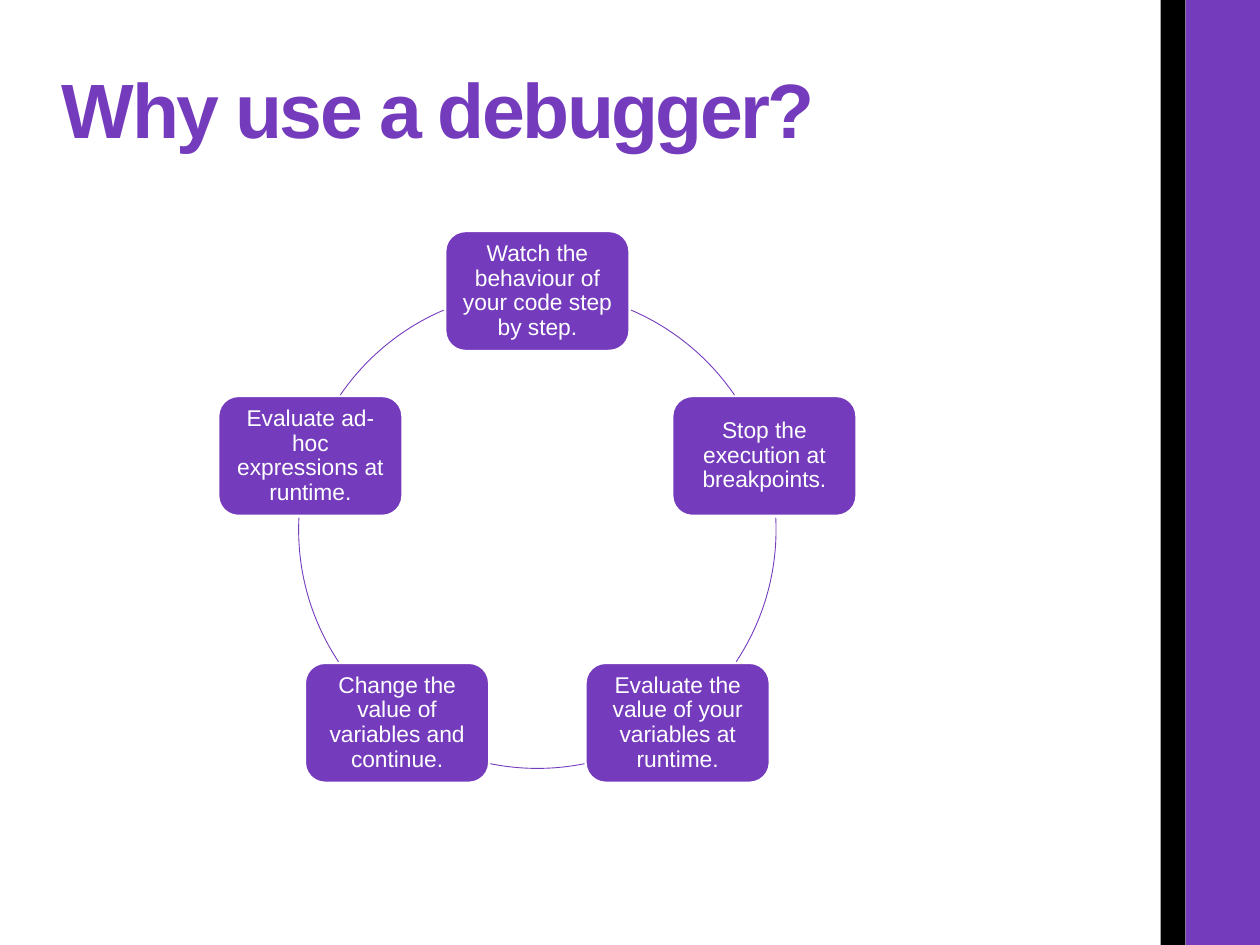
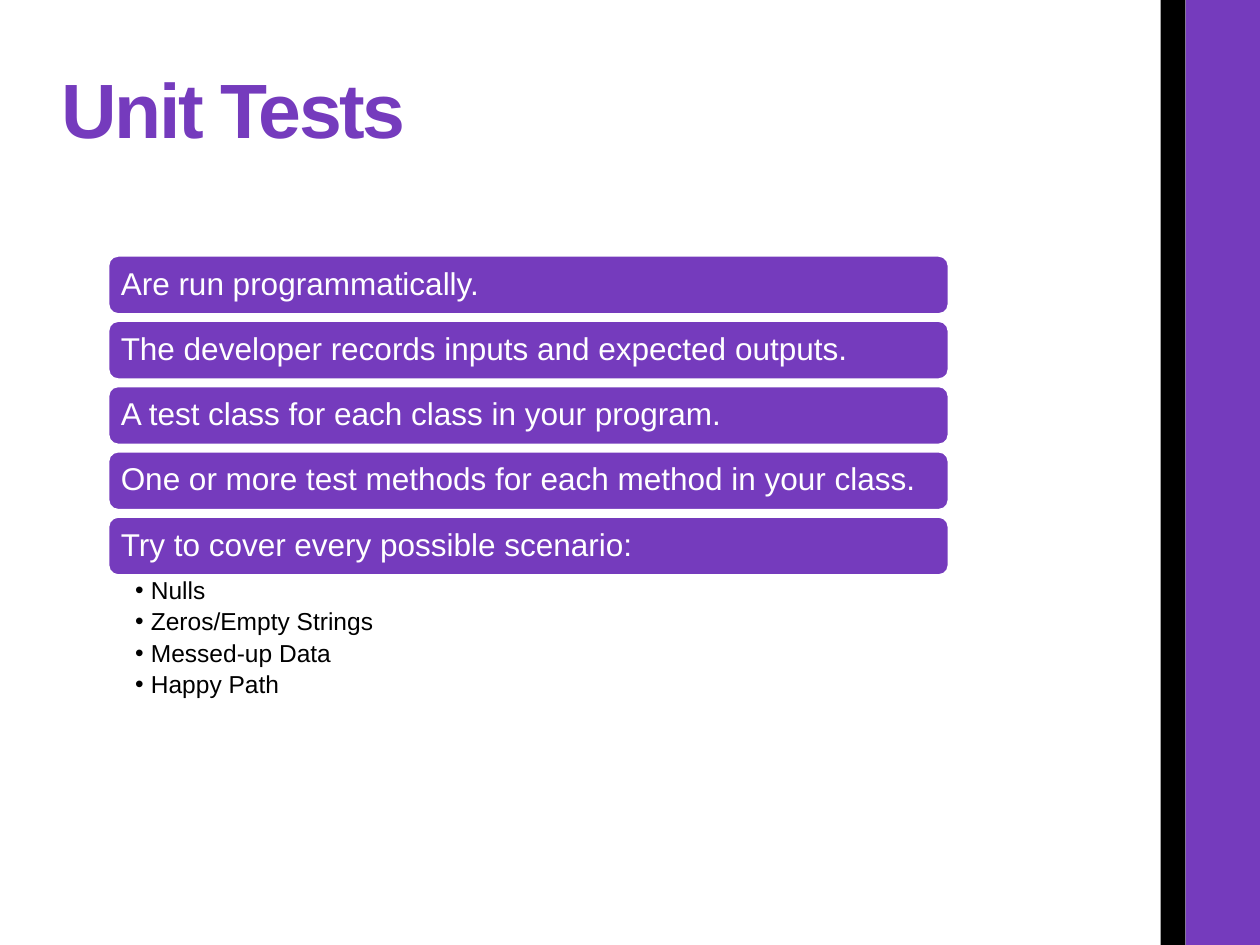
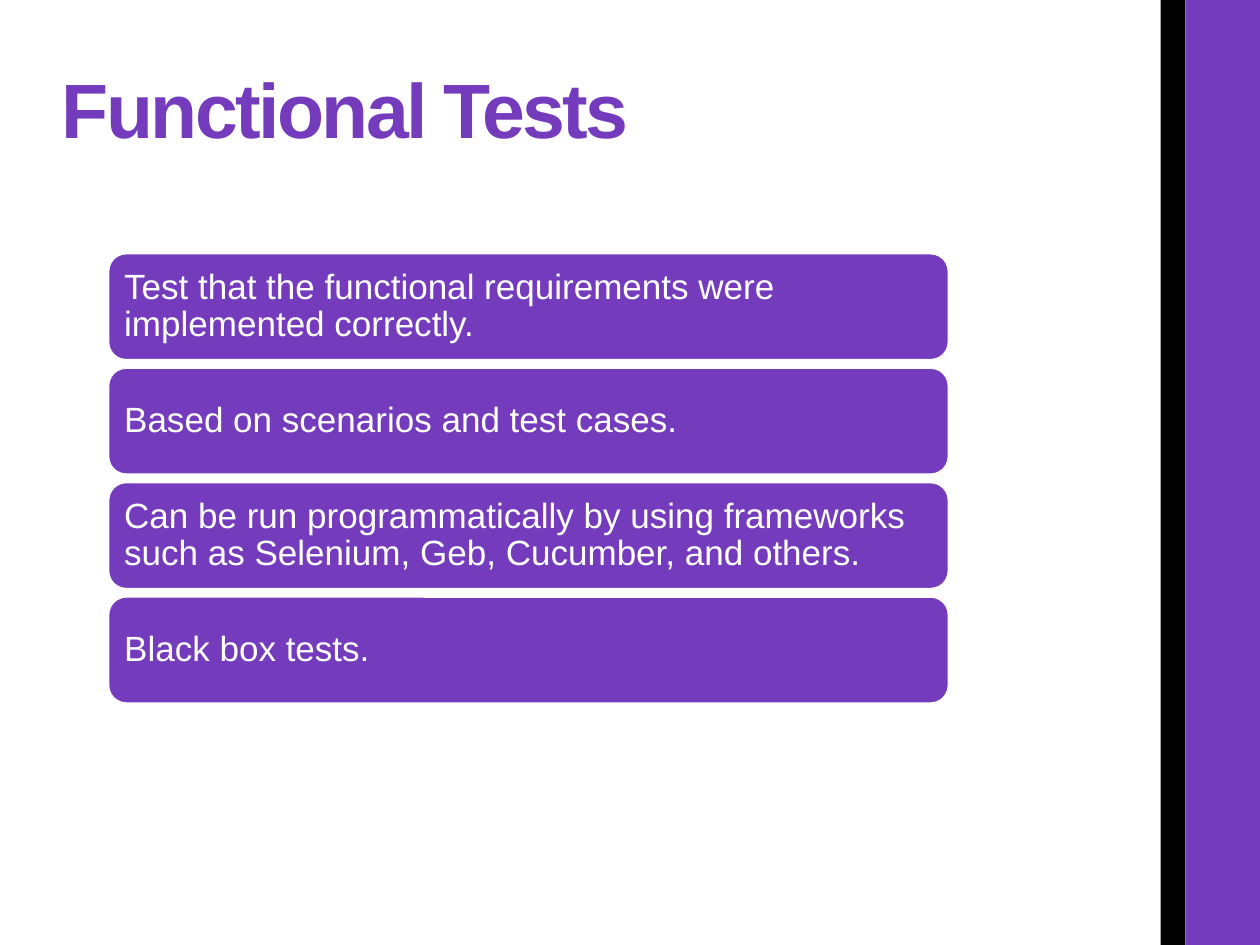
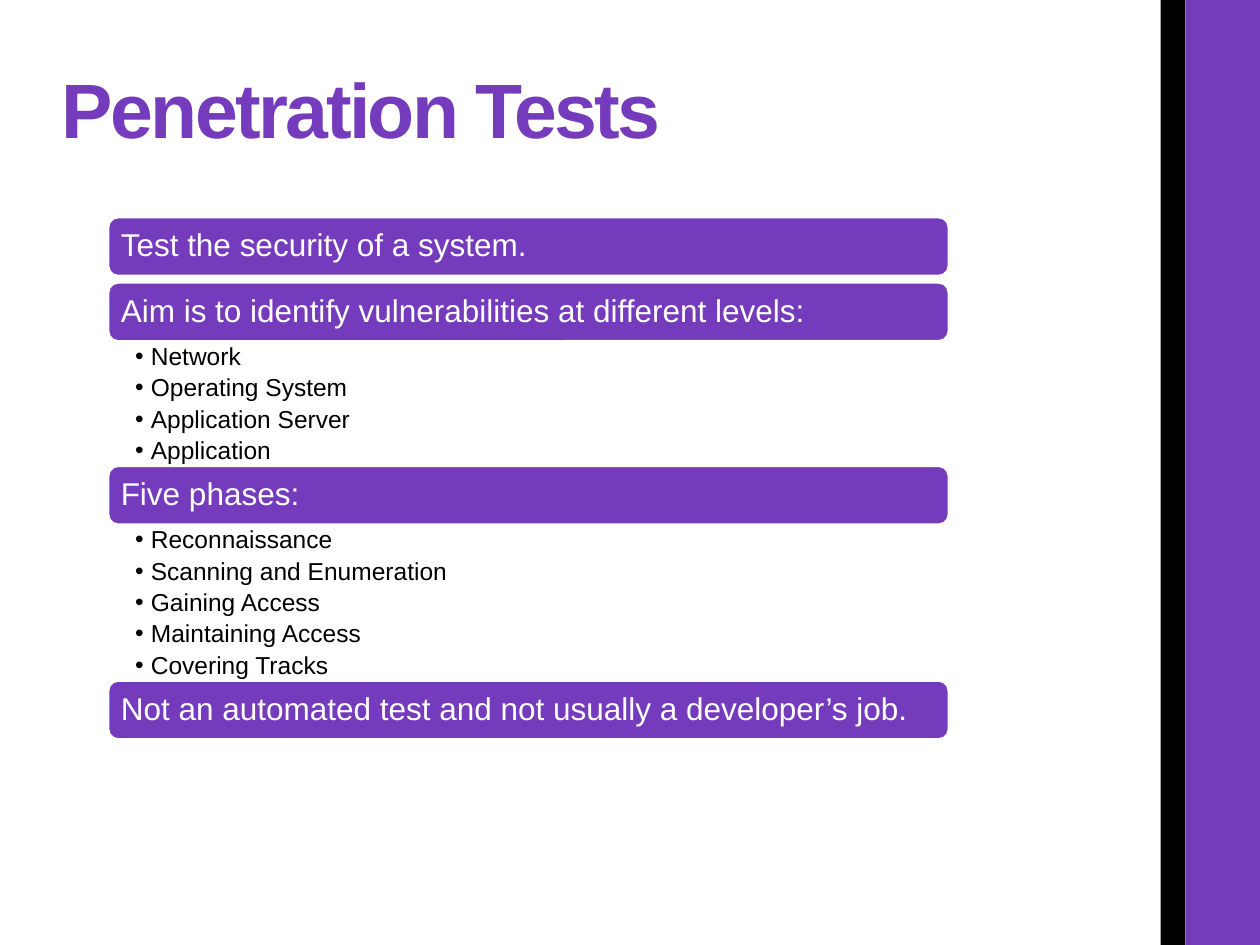
import math
from pptx import Presentation
from pptx.dml.color import RGBColor
from pptx.enum import shapes, text
from pptx.oxml import ns
from pptx.util import Pt

COLORS = {"purple": "753BBD", "black": "000000", "white": "FFFFFF"}
FONT = "Arial"
WIDTH, HEIGHT = 720, 540
BANDS = [("purple", 677.5, 42.5), ("black", 663.2, 14.3)]
TITLE_FRAME = (28.2, 28.8, 605.5, 63.4)

CYCLE_TITLE = "Why use a debugger?"
CYCLE_STEPS = [
    "Watch the behaviour of your code step by step.",
    "Stop the execution at breakpoints.",
    "Evaluate the value of your variables at runtime.",
    "Change the value of variables and continue.",
    "Evaluate ad-hoc expressions at runtime.",
]
RING_X, RING_Y, RING_RADIUS = 307.1, 302.7, 136.4
CARD_WIDTH, CARD_HEIGHT = 105, 68.2
ARC_ANGLES = [(293.1, 325.8), (357.1, 33.6), (78.6, 101.4), (146.4, 182.9), (214.2, 246.9)]

ROW_LEFT, ROW_WIDTH = 62, 480
BULLET_PITCH, BULLET_SIZE = 17.9, 14
LIST_PAGES = [
    {
        "title": "Unit Tests",
        "top": 146.2, "height": 33.2, "gap": 4.1, "size": 18,
        "rows": [
            ("Are run programmatically.", []),
            ("The developer records inputs and expected outputs.", []),
            ("A test class for each class in your program.", []),
            ("One or more test methods for each method in your class.", []),
            ("Try to cover every possible scenario:",
             ["Nulls", "Zeros/Empty Strings", "Messed-up Data", "Happy Path"]),
        ],
    },
    {
        "title": "Functional Tests",
        "top": 144.9, "height": 60.7, "gap": 4.7, "size": 20,
        "rows": [
            ("Test that the functional requirements were implemented correctly.", []),
            ("Based on scenarios and test cases.", []),
            ("Can be run programmatically by using frameworks such as Selenium, Geb, "
             "Cucumber, and others.", []),
            ("Black box tests.", []),
        ],
    },
    {
        "title": "Penetration Tests",
        "top": 124.3, "height": 33.2, "gap": 4.1, "size": 18,
        "rows": [
            ("Test the security of a system.", []),
            ("Aim is to identify vulnerabilities at different levels:",
             ["Network", "Operating System", "Application Server", "Application"]),
            ("Five phases:",
             ["Reconnaissance", "Scanning and Enumeration", "Gaining Access",
              "Maintaining Access", "Covering Tracks"]),
            ("Not an automated test and not usually a developer’s job.", []),
        ],
    },
]
LAYOUT_BY_LIST_COUNT = [5, 1, 3]


def color(name):
    return RGBColor.from_string(COLORS[name])


def place(shape, left, top, width, height):
    shape.left, shape.top = Pt(left), Pt(top)
    shape.width, shape.height = Pt(width), Pt(height)


def set_frame(frame, anchor, left, top, right, bottom):
    frame.word_wrap = True
    frame.auto_size = text.MSO_AUTO_SIZE.NONE
    frame.vertical_anchor = anchor
    frame.margin_left, frame.margin_top = Pt(left), Pt(top)
    frame.margin_right, frame.margin_bottom = Pt(right), Pt(bottom)


def write(para, words, size, ink, align=text.PP_ALIGN.LEFT, bold=False):
    para.alignment = align
    para.line_spacing = 0.9
    para.space_before = Pt(0)
    span = para.add_run()
    span.text = words
    span.font.name, span.font.size, span.font.bold = FONT, Pt(size), bold
    span.font.color.rgb = color(ink)


def add_shape(page, kind, left, top, width, height, fill=None, line=None, weight=1):
    shape = page.shapes.add_shape(kind, Pt(left), Pt(top), Pt(width), Pt(height))
    shape.shadow.inherit = False
    if fill:
        shape.fill.solid()
        shape.fill.fore_color.rgb = color(fill)
    else:
        shape.fill.background()
    if line:
        shape.line.color.rgb = color(line)
        shape.line.width = Pt(weight)
    else:
        shape.line.fill.background()
    return shape


def add_card(page, words, size, left, top, width, height, align):
    card = add_shape(page, shapes.MSO_SHAPE.ROUNDED_RECTANGLE,
                     left, top, width, height, "purple", "white")
    set_frame(card.text_frame, text.MSO_ANCHOR.MIDDLE, *[0.3 * size] * 4)
    write(card.text_frame.paragraphs[0], words, size, "white", align)


def add_page(deck, title, layout=5):
    page = deck.slides.add_slide(deck.slide_layouts[layout])
    box = page.shapes.title
    place(box, *TITLE_FRAME)
    set_frame(box.text_frame, text.MSO_ANCHOR.BOTTOM, 7.2, 3.6, 7.2, 3.6)
    write(box.text_frame.paragraphs[0], title, 44, "purple", bold=True)
    for style in box.element.iter(ns.qn("a:rPr")):
        style.set("spc", "-150")
    return page


def add_master_bands(deck, page):
    tree = deck.slide_master.shapes.element
    for number, (fill, left, width) in enumerate(BANDS):
        band = add_shape(page, shapes.MSO_SHAPE.RECTANGLE, left, 0, width, HEIGHT, fill)
        band.element.xpath("p:nvSpPr/p:cNvPr")[0].set("id", str(100 + number))
        tree.append(band.element)


def draw_cycle(page):
    for start, end in ARC_ANGLES:
        arc = add_shape(page, shapes.MSO_SHAPE.ARC,
                        RING_X - RING_RADIUS, RING_Y - RING_RADIUS,
                        2 * RING_RADIUS, 2 * RING_RADIUS, line="purple", weight=0.5)
        arc.adjustments[0], arc.adjustments[1] = start * 0.6, end * 0.6
    for number, words in enumerate(CYCLE_STEPS):
        angle = math.tau * number / len(CYCLE_STEPS)
        add_card(page, words, 13,
                 RING_X + RING_RADIUS * math.sin(angle) - CARD_WIDTH / 2,
                 RING_Y - RING_RADIUS * math.cos(angle) - CARD_HEIGHT / 2,
                 CARD_WIDTH, CARD_HEIGHT, text.PP_ALIGN.CENTER)


def fill_bullets(box, items, top, height):
    place(box, ROW_LEFT, top, ROW_WIDTH, height)
    frame = box.text_frame
    set_frame(frame, text.MSO_ANCHOR.TOP, 15.2, 1.8, 10, 1.8)
    for number, item in enumerate(items):
        para = frame.add_paragraph() if number else frame.paragraphs[0]
        props = para._p.get_or_add_pPr()
        props.set("marL", str(Pt(9)))
        props.set("indent", str(Pt(-9)))
        bullet = props.makeelement(ns.qn("a:buChar"), {"char": "•"})
        props.append(bullet)
        write(para, item, BULLET_SIZE, "black")
        para.space_after = Pt(0.2 * BULLET_SIZE)


def draw_rows(page, content):
    bodies = iter([box for box in page.placeholders if box.placeholder_format.idx])
    top = content["top"]
    for words, items in content["rows"]:
        add_card(page, words, content["size"], ROW_LEFT, top, ROW_WIDTH,
                 content["height"], text.PP_ALIGN.LEFT)
        top += content["height"]
        if items:
            list_height = BULLET_PITCH * len(items)
            fill_bullets(next(bodies), items, top, list_height)
            top += list_height
        else:
            top += content["gap"]


def main():
    deck = Presentation()
    deck.slide_width, deck.slide_height = Pt(WIDTH), Pt(HEIGHT)
    page = add_page(deck, CYCLE_TITLE)
    add_master_bands(deck, page)
    draw_cycle(page)
    for content in LIST_PAGES:
        list_count = sum(bool(items) for _, items in content["rows"])
        page = add_page(deck, content["title"], LAYOUT_BY_LIST_COUNT[list_count])
        draw_rows(page, content)
    deck.save("out.pptx")


if __name__ == "__main__":
    main()
